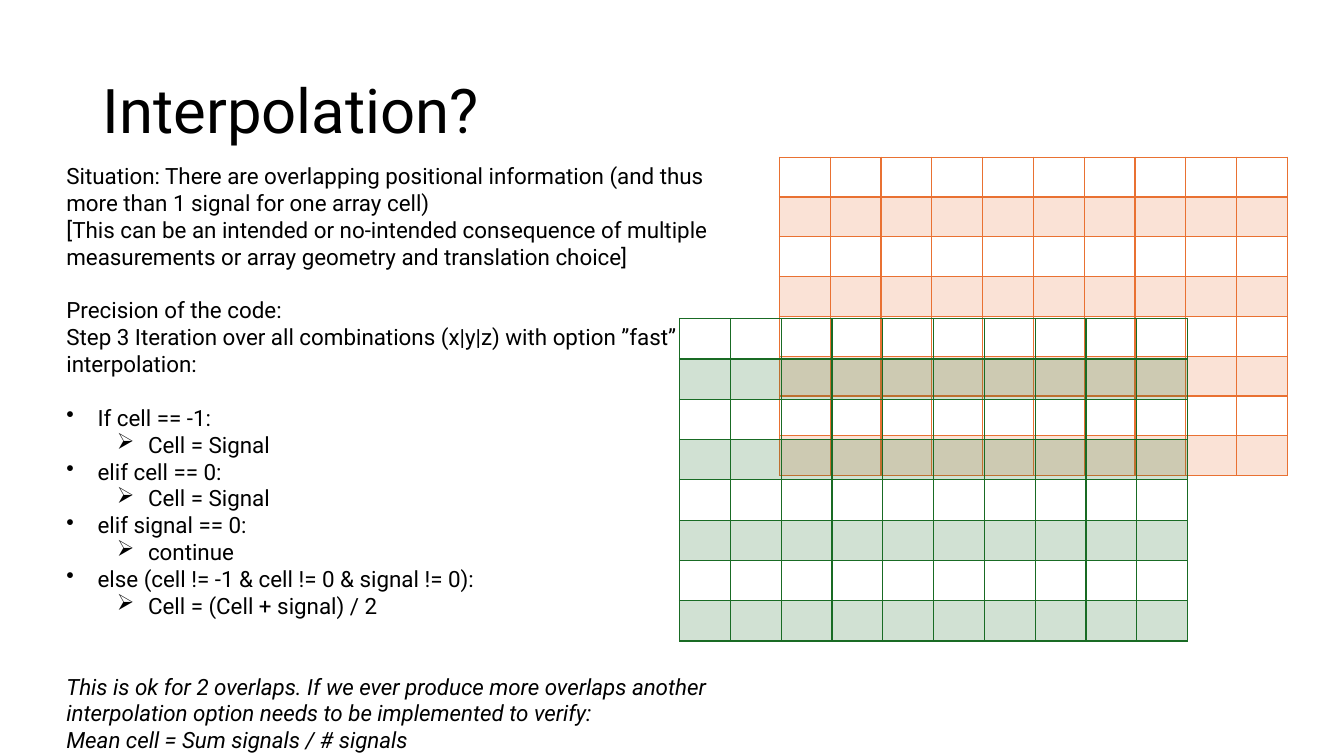
from lxml import etree
from pptx import Presentation
from pptx.dml.color import RGBColor
from pptx.enum.text import MSO_ANCHOR, MSO_AUTO_SIZE
from pptx.oxml.ns import qn
from pptx.util import Inches, Pt

TOP, MIDDLE = MSO_ANCHOR.TOP, MSO_ANCHOR.MIDDLE
GROW, FIXED = MSO_AUTO_SIZE.SHAPE_TO_FIT_TEXT, MSO_AUTO_SIZE.NONE
BLACK = RGBColor(0x00, 0x00, 0x00)
ORANGE = RGBColor(0xE9, 0x71, 0x32)
GREEN = RGBColor(0x19, 0x6B, 0x24)

FONT = "Roboto"
LINE = 19.2  # height of one line of 16 pt text, in points
ROWS, COLS = 8, 10
BULLETS = ["•", "➢"]
HANG = 0.31

INTRO = [
    ("Situation: There are overlapping positional information "
     "(and thus more than 1 signal for one array cell)", 0),
    ("[This can be an intended or no-intended consequence of multiple "
     "measurements or array geometry and translation choice]", 0),
    ("Precision of the code:", 1),
    ("Step 3 Iteration over all combinations (x|y|z) with option ”fast” "
     "interpolation:", 0),
]
CASES = [
    ("If cell == -1:", "Cell = Signal"),
    ("elif cell == 0:", "Cell = Signal"),
    ("elif signal == 0:", "continue"),
    ("else (cell != -1 & cell != 0 & signal != 0):",
     "Cell = (Cell + signal) / 2"),
]
CLOSING = [
    ("This is ok for 2 overlaps. If we ever produce more overlaps another "
     "interpolation option needs to be implemented to verify:", 2),
    ("Mean cell = Sum signals / # signals", 0),
]


class Deck:
    def __init__(self):
        self.prs = Presentation()
        self.prs.slide_width = Inches(13.33)
        self.prs.slide_height = Inches(7.5)
        self.slide = self.prs.slides.add_slide(self.prs.slide_layouts[6])

    def box(self, left, top, width, height, anchor=TOP, fit=FIXED):
        shape = self.slide.shapes.add_textbox(
            Inches(left), Inches(top), Inches(width), Inches(height))
        frame = shape.text_frame
        frame.word_wrap = True
        frame.vertical_anchor = anchor
        frame.auto_size = fit
        return frame

    def line(self, frame, text, size=16, gap=0, level=None, italic=False):
        """Add a paragraph, gap lines below the last, bulleted if level is set."""
        para = frame.paragraphs[0]
        if para.runs:
            para = frame.add_paragraph()
        if gap:
            para.space_before = Pt(gap * LINE)
        if level is not None:
            para.level = level
            props = para._p.get_or_add_pPr()
            props.set("marL", str(Inches(HANG + 0.5 * level)))
            props.set("indent", str(-Inches(HANG)))
            bullet = etree.SubElement(props, qn("a:buChar"))
            bullet.set("char", BULLETS[level])
        run = para.add_run()
        run.text = text
        run.font.name = FONT
        run.font.size = Pt(size)
        run.font.italic = italic
        run.font.color.rgb = BLACK
        return para

    def border(self, cell, side, color, width):
        props = cell._tc.get_or_add_tcPr()
        edge = etree.SubElement(props, qn("a:ln" + side), w=str(Pt(width)))
        fill = etree.SubElement(edge, qn("a:solidFill"))
        etree.SubElement(fill, qn("a:srgbClr"), val=str(color))

    def tint(self, cell, color):
        """Fill a cell with the colour at 20 % opacity."""
        cell.fill.solid()
        cell.fill.fore_color.rgb = color
        shade = cell._tc.tcPr.find(".//" + qn("a:solidFill") + "[last()]")
        shade = cell._tc.tcPr.find(qn("a:solidFill") + "/" + qn("a:srgbClr"))
        etree.SubElement(shade, qn("a:alpha"), val="20000")

    def grid(self, left, top, width, height, color):
        """Add an empty table whose every second row is tinted."""
        table = self.slide.shapes.add_table(
            ROWS, COLS, Inches(left), Inches(top),
            Inches(width), Inches(height)).table
        table.first_row = False
        table.horz_banding = False
        for r, row in enumerate(table.rows):
            for cell in row.cells:
                cell.margin_top = cell.margin_bottom = 0
                for side in "LRTB":
                    thick = (r, side) in ((0, "B"), (1, "T"))
                    self.border(cell, side, color, 2 if thick else 1)
                if r % 2:
                    self.tint(cell, color)
                else:
                    cell.fill.background()


def main():
    deck = Deck()
    title = deck.box(0.92, 0.4, 11.5, 1.45, anchor=MIDDLE)
    deck.line(title, "Interpolation?", size=44).line_spacing = 0.9

    deck.grid(7.73, 1.56, 5.04, 3.16, ORANGE)

    body = deck.box(0.56, 1.56, 6.62, 7.1, fit=GROW)
    for text, gap in INTRO:
        deck.line(body, text, gap=gap)
    for i, (test, action) in enumerate(CASES):
        deck.line(body, test, gap=int(i == 0), level=0)
        deck.line(body, action, level=1)
    for text, gap in CLOSING:
        deck.line(body, text, gap=gap, italic=True)

    deck.grid(6.74, 3.16, 5.04, 3.2, GREEN)
    deck.prs.save("out.pptx")


if __name__ == "__main__":
    main()
